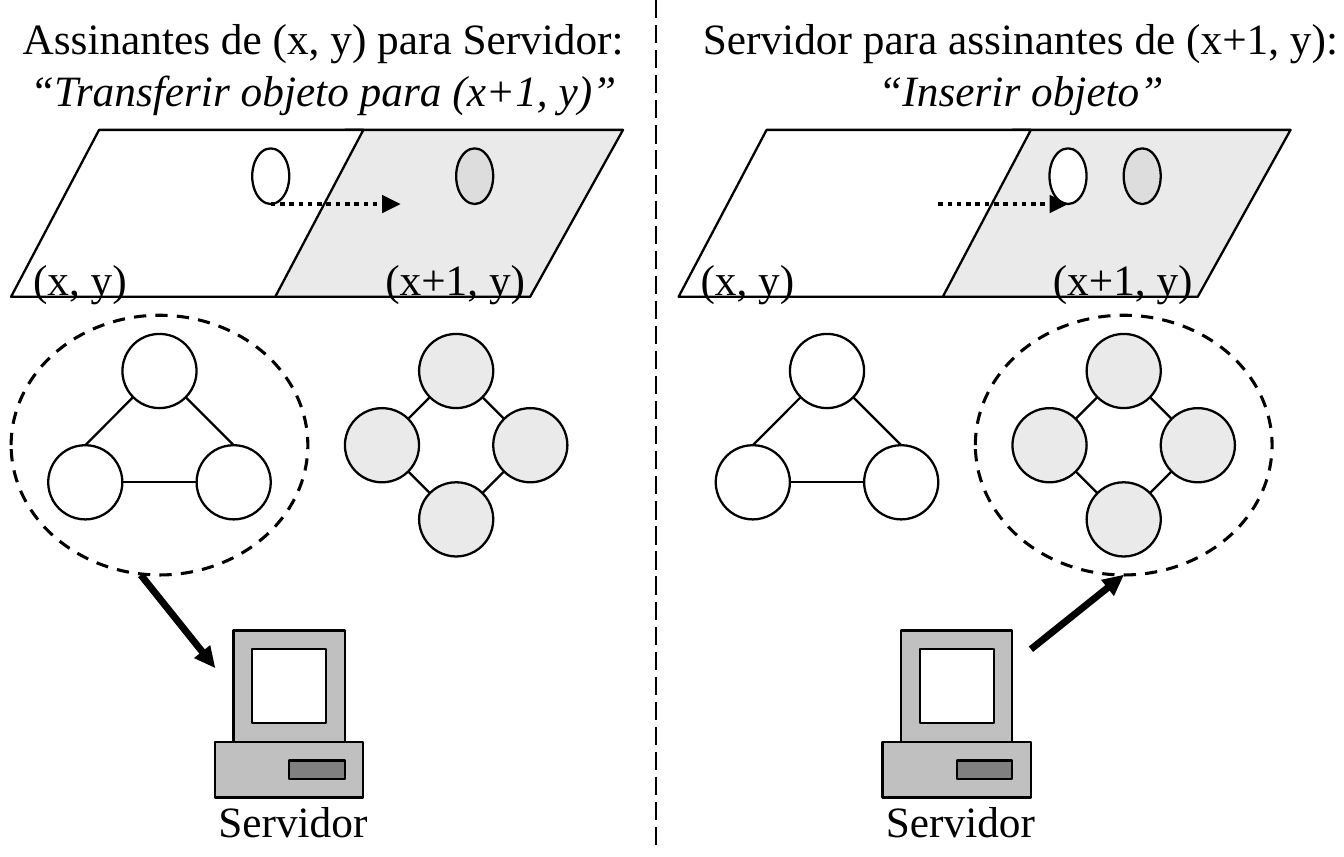
from lxml.etree import SubElement
from pptx import Presentation
from pptx.dml.color import RGBColor
from pptx.enum.dml import MSO_LINE
from pptx.enum.shapes import MSO_CONNECTOR, MSO_SHAPE
from pptx.enum.text import MSO_ANCHOR, PP_ALIGN
from pptx.oxml.ns import qn
from pptx.util import Inches, Pt

BLACK = RGBColor(0x00, 0x00, 0x00)
WHITE = RGBColor(0xFF, 0xFF, 0xFF)
PALE = RGBColor(0xEA, 0xEA, 0xEA)
LIGHT = RGBColor(0xDD, 0xDD, 0xDD)
SILVER = RGBColor(0xC0, 0xC0, 0xC0)
GREY = RGBColor(0x80, 0x80, 0x80)

# Grid of twelve cells to the inch; each panel is 36 columns wide
CELL = 1 / 12
MARGIN = 0.05
PANEL_COLUMNS = 36
NODE = 4  # diameter of a network node, in cells
NEAR, FAR = 0.59, 3.41  # where a 45° line meets a node's outline

deck = Presentation()
deck.slide_width, deck.slide_height = Inches(6.04), Inches(3.85)
page = deck.slides.add_slide(deck.slide_layouts[6])


def across(column):
    return Inches(MARGIN + column * CELL)


def down(row):
    return Inches(row * CELL)


def add_figure(kind, column, row, columns, rows, fill=None, width=0.75, dash=None, slant=None):
    figure = page.shapes.add_shape(kind, across(column), down(row),
                                   Inches(columns * CELL), Inches(rows * CELL))
    figure.shadow.inherit = False
    if fill is None:
        figure.fill.background()
    else:
        figure.fill.solid()
        figure.fill.fore_color.rgb = fill
    figure.line.color.rgb = BLACK
    figure.line.width = Pt(width)
    if dash:
        figure.line.dash_style = dash
    if slant:
        figure.adjustments[0] = slant


def add_line(start, end, width=0.75, dash=None, arrow=False):
    line = page.shapes.add_connector(MSO_CONNECTOR.STRAIGHT, across(start[0]), down(start[1]),
                                     across(end[0]), down(end[1]))
    line.line.color.rgb = BLACK
    line.line.width = Pt(width)
    if dash:
        line.line.dash_style = dash
    if arrow:
        SubElement(line.line._get_or_add_ln(), qn("a:tailEnd"), type="triangle")
    SubElement(line._element.spPr, qn("a:effectLst"))


def add_text(lines, left, top, width, height, align=PP_ALIGN.LEFT):
    """Write the lines in one box; any line after the first is in italics."""
    box = page.shapes.add_textbox(left, top, Inches(width), Inches(height))
    frame = box.text_frame
    frame.word_wrap = False
    frame.vertical_anchor = MSO_ANCHOR.TOP
    for index, line in enumerate(lines):
        para = frame.paragraphs[0] if index == 0 else frame.add_paragraph()
        para.alignment = align
        span = para.add_run()
        span.text = line
        span.font.name = "Times New Roman"
        span.font.size = Pt(14)
        span.font.color.rgb = BLACK
        span.font.italic = index > 0


triangle_nodes = [(2, 24), (6, 18), (10, 24)]
diamond_nodes = [(22, 18), (18, 22), (26, 22), (22, 26)]
links = [
    ((6, 26), (10, 26)),
    ((4, 24), (6 + NEAR, 18 + FAR)),
    ((6 + FAR, 18 + FAR), (12, 24)),
    ((18 + FAR, 22 + NEAR), (22 + NEAR, 18 + FAR)),
    ((22 + FAR, 18 + FAR), (26 + NEAR, 22 + NEAR)),
    ((18 + FAR, 22 + FAR), (22 + NEAR, 26 + NEAR)),
    ((22 + FAR, 26 + NEAR), (26 + NEAR, 22 + FAR)),
]
computer_parts = [
    (12, 34, 6, 6, SILVER),
    (11, 40, 8, 3, SILVER),
    (13, 35, 4, 4, WHITE),
    (15, 41, 3, 1, GREY),
]

# Heading, its left and width in inches, column of the moving object,
# column of the dashed group, ends of the message arrow
panels = [
    (["Assinantes de (x, y) para Servidor:", "“Transferir objeto para (x+1, y)”"],
     0, 2.91, 13, 0, (7, 31), (11, 36)),
    (["Servidor para assinantes de (x+1, y):", "“Inserir objeto”"],
     3.06, 3.06, 20, 16, (19, 35), (24, 31)),
]

for number, (heading, left, width, moving, group, sender, receiver) in enumerate(panels):
    origin = number * PANEL_COLUMNS

    # Two neighbouring map cells with their objects
    add_figure(MSO_SHAPE.PARALLELOGRAM, origin + 13, 7, 20, 9, PALE, slant=0.556)
    add_figure(MSO_SHAPE.PARALLELOGRAM, origin, 7, 19, 9, WHITE, slant=0.528)
    add_figure(MSO_SHAPE.OVAL, origin + 24, 8, 2, 3, LIGHT)
    add_figure(MSO_SHAPE.OVAL, origin + moving, 8, 2, 3, WHITE)
    add_text(["(x, y)"], across(origin), down(13), 0.62, 0.34)
    add_text(["(x+1, y)"], across(origin + 19), down(13), 0.83, 0.34)
    add_line((origin + 14, 11), (origin + 21, 11), 1.5, MSO_LINE.ROUND_DOT, arrow=True)

    # Networks of subscribers
    for nodes, fill in [(triangle_nodes, WHITE), (diamond_nodes, PALE)]:
        for column, row in nodes:
            add_figure(MSO_SHAPE.OVAL, origin + column, row, NODE, NODE, fill)
    for start, end in links:
        add_line((origin + start[0], start[1]), (origin + end[0], end[1]))
    add_figure(MSO_SHAPE.OVAL, origin + group, 17, 16, 14, width=1, dash=MSO_LINE.DASH)

    # Server and its message
    for column, row, columns, rows, fill in computer_parts:
        add_figure(MSO_SHAPE.RECTANGLE, origin + column, row, columns, rows, fill)
    add_line((origin + sender[0], sender[1]), (origin + receiver[0], receiver[1]), 2.25, arrow=True)
    add_text(["Servidor"], across(origin + 10), down(42.25), 0.87, 0.34)

    add_text(heading, Inches(left), 0, width, 0.57, PP_ALIGN.CENTER)

# Divider between the panels
add_line((34.8, 0), (34.8, 45.8), dash=MSO_LINE.LONG_DASH)

deck.save("out.pptx")
